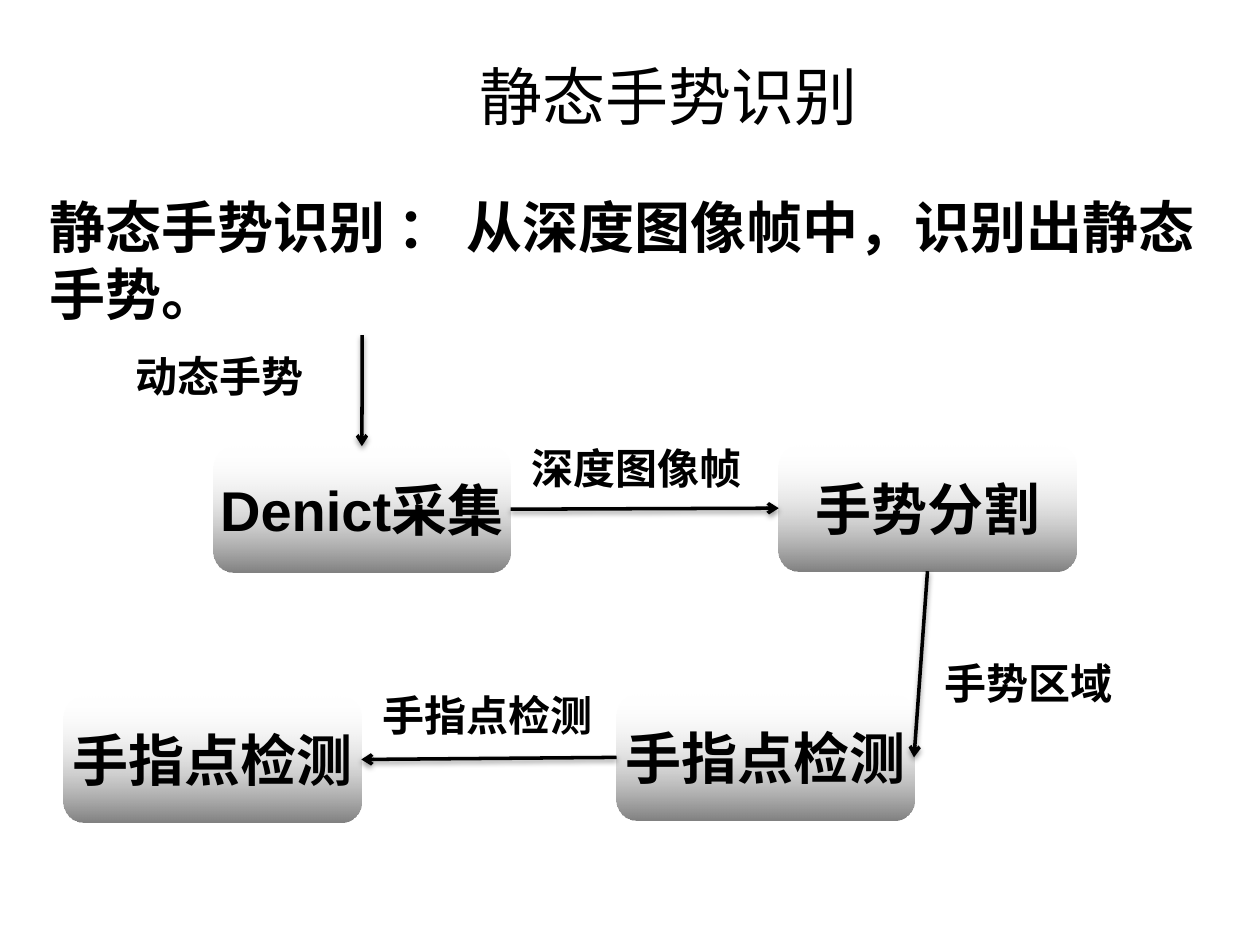
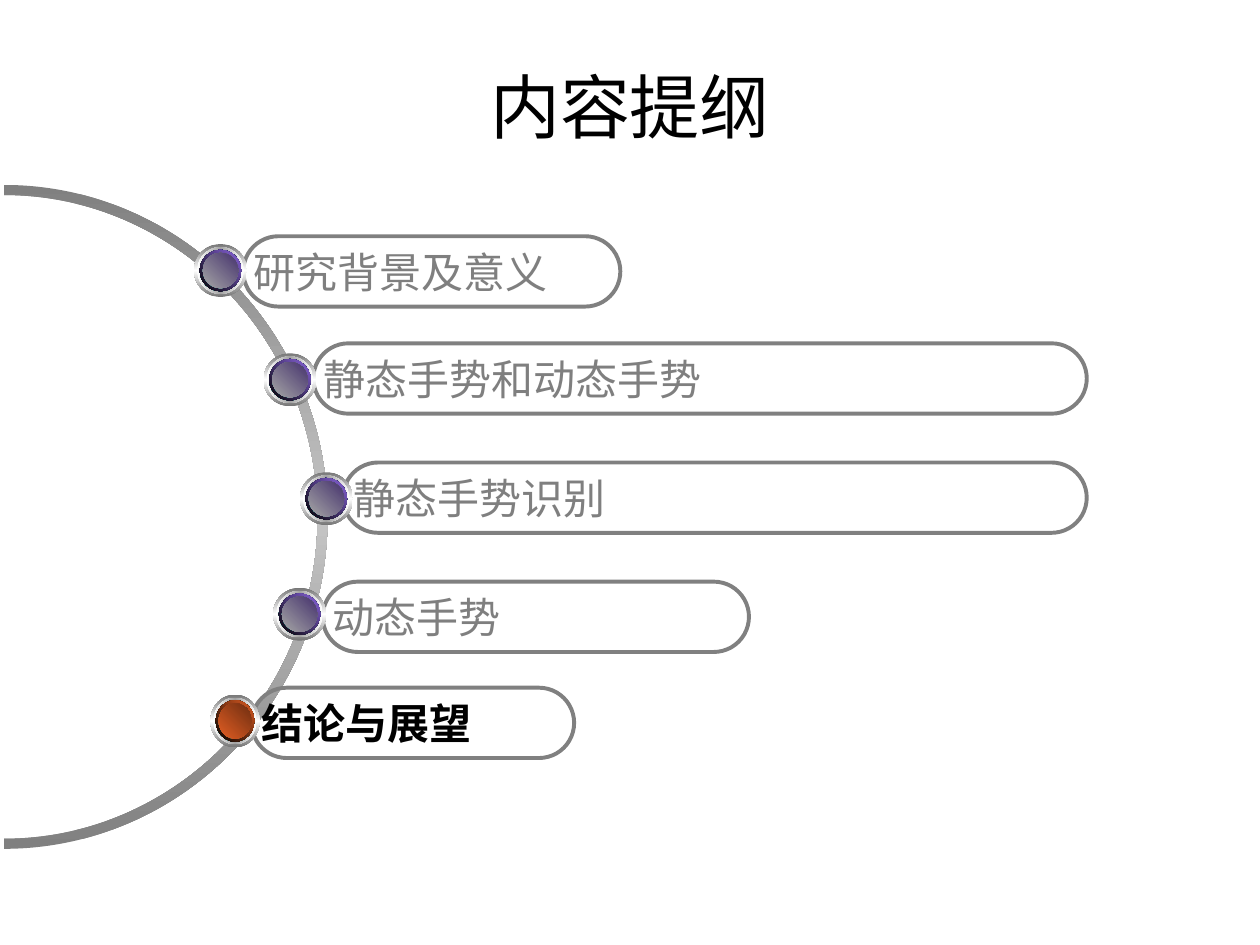
from lxml import etree
from pptx import Presentation
from pptx.dml.color import RGBColor
from pptx.enum.shapes import MSO_CONNECTOR, MSO_SHAPE
from pptx.enum.text import MSO_ANCHOR, MSO_AUTO_SIZE, PP_ALIGN
from pptx.oxml import parse_xml
from pptx.oxml.ns import nsdecls, qn
from pptx.util import Pt

LEFT, CENTER = PP_ALIGN.LEFT, PP_ALIGN.CENTER
TOP, MIDDLE = MSO_ANCHOR.TOP, MSO_ANCHOR.MIDDLE
NO_AUTOSIZE = MSO_AUTO_SIZE.NONE
ROUNDED, OVAL = MSO_SHAPE.ROUNDED_RECTANGLE, MSO_SHAPE.OVAL
STRAIGHT = MSO_CONNECTOR.STRAIGHT

BLACK = RGBColor(0x00, 0x00, 0x00)
WHITE = RGBColor(0xFF, 0xFF, 0xFF)
GRAY = RGBColor(0x80, 0x80, 0x80)
MUTED = RGBColor(0x7F, 0x7F, 0x7F)
ARC_LIGHT = RGBColor(0xC5, 0xC5, 0xC5)
RIM_DARK = RGBColor(0x76, 0x76, 0x76)
RIM_LIGHT = RGBColor(0xA2, 0xA2, 0xA2)
TEAL = RGBColor(0x00, 0x99, 0x99)
DEEP_TEAL = RGBColor(0x00, 0x53, 0x53)
SILVER = RGBColor(0xA6, 0xA6, 0xA6)
VIOLET = RGBColor(0x8D, 0x67, 0xE1)
DEEP_VIOLET = RGBColor(0x45, 0x32, 0x6D)
ORANGE = RGBColor(0xE3, 0x5E, 0x23)
BROWN = RGBColor(0x6E, 0x2E, 0x11)

LATIN_FONT = "Arial"
CJK_FONT = "Noto Sans CJK SC"
TITLE_LAYOUT = 5
SITE_TOP, SITE_LEFT, SITE_BOTTOM, SITE_RIGHT = range(4)

RECOGNITION_TITLE = "静态手势识别"
DEFINITION = ["静态手势识别 ： 从深度图像帧中，识别出静态", "手势。"]
STEP_SIZE = (170, 72)
STEPS = [
    ("Denict采集", 121.8, 255),
    ("手势分割", 445, 254.4),
    ("手指点检测", 352.3, 396.8),
    ("手指点检测", 36.5, 398),
]
FLOW_LABELS = [
    ("动态手势", 68, 197, 115),
    ("深度图像帧", 289.8, 249.6, 147.6),
    ("手势区域", 530, 372, 115),
    ("手指点检测", 206.5, 390.3, 144),
]
ENTRY_POINT = (207, 191.5)
FLOW_SITES = [
    (SITE_RIGHT, SITE_LEFT),
    (SITE_BOTTOM, SITE_RIGHT),
    (SITE_LEFT, SITE_RIGHT),
]

OUTLINE_TITLE = "内容提纲"
PILL_HEIGHT = 40.2
AGENDA = [
    {"text": "研究背景及意义", "pill": (139, 135, 215.5), "dot": (126, 154.6)},
    {"text": "静态手势和动态手势", "pill": (179, 196.2, 442), "dot": (165.7, 217)},
    {"text": "静态手势识别", "pill": (196, 264.3, 425), "dot": (186.5, 285)},
    {"text": "动态手势", "pill": (184.4, 332.4, 243.6), "dot": (171.2, 351)},
    {"text": "结论与展望", "pill": (143.8, 393, 184.3), "dot": (134.3, 412),
     "current": True},
]
ARC_CENTER = (2.4, 295.4)
ARC_OUTER = (184.8, 189.7)
ARC_INNER = (179.1, 183.9)
CIRCLE_RATIO = 0.55


def set_gradient(shape, colors, angle, first_alpha=100):
    stops = ""
    for index, color in enumerate(colors):
        position = round(100000 * index / (len(colors) - 1))
        alpha = 100 if index else first_alpha
        stops += (f'<a:gs pos="{position}"><a:srgbClr val="{color}">'
                  f'<a:alpha val="{alpha * 1000}"/></a:srgbClr></a:gs>')
    gradient = parse_xml(
        f'<a:gradFill {nsdecls("a")} rotWithShape="1"><a:gsLst>{stops}</a:gsLst>'
        f'<a:lin ang="{angle * 60000}" scaled="0"/></a:gradFill>')
    shape.fill.background()
    properties = shape._element.spPr
    properties.replace(properties.find(qn("a:noFill")), gradient)
    shape.line.fill.background()
    shape.shadow.inherit = False


def write_text(shape, lines, size, color=BLACK, bold=True, align=CENTER,
               anchor=MIDDLE, wrap=True, latin=LATIN_FONT):
    frame = shape.text_frame
    frame.auto_size = NO_AUTOSIZE
    frame.word_wrap = wrap
    frame.vertical_anchor = anchor
    for index, line in enumerate(lines):
        paragraph = frame.add_paragraph() if index else frame.paragraphs[0]
        paragraph.alignment = align
        run = paragraph.add_run()
        run.text = line
        font = run.font
        font.size, font.bold, font.name = Pt(size), bold, latin
        font.color.rgb = color
        east_asian = etree.SubElement(font._element, qn("a:ea"))
        east_asian.set("typeface", CJK_FONT)


def place(shape, left, top, width, height):
    shape.left, shape.top = Pt(left), Pt(top)
    shape.width, shape.height = Pt(width), Pt(height)


def add_titled_slide(presentation, title, left, top, size):
    slide = presentation.slides.add_slide(presentation.slide_layouts[TITLE_LAYOUT])
    place(slide.shapes.title, left, top, 648, 46)
    write_text(slide.shapes.title, [title], size, bold=False, latin=CJK_FONT)
    return slide


def add_label(slide, lines, left, top, width, height, size, align=CENTER):
    box = slide.shapes.add_textbox(Pt(left), Pt(top), Pt(width), Pt(height))
    write_text(box, lines, size, align=align, anchor=TOP)


def add_step(slide, text, left, top):
    width, height = STEP_SIZE
    step = slide.shapes.add_shape(ROUNDED, Pt(left), Pt(top), Pt(width), Pt(height))
    set_gradient(step, [WHITE, GRAY], 90, first_alpha=0)
    write_text(step, [text], 32, wrap=False)
    return step


def add_arrow(slide, start, target, target_site):
    x, y = start
    arrow = slide.shapes.add_connector(STRAIGHT, Pt(x), Pt(y), Pt(x), Pt(y))
    arrow.end_connect(target, target_site)
    arrow.line.color.rgb = BLACK
    arrow.line.width = Pt(2)
    properties = arrow._element.spPr
    etree.SubElement(properties.find(qn("a:ln")), qn("a:tailEnd"), type="arrow")
    properties.append(parse_xml(
        f'<a:effectLst {nsdecls("a")}><a:outerShdw blurRad="{Pt(3.1)}" '
        f'dist="{Pt(1.6)}" dir="5400000" rotWithShape="0"><a:srgbClr val="{BLACK}">'
        '<a:alpha val="38000"/></a:srgbClr></a:outerShdw></a:effectLst>'))
    return arrow


def add_recognition_slide(presentation):
    slide = add_titled_slide(presentation, RECOGNITION_TITLE, 58, 31.7, 36)
    add_label(slide, DEFINITION, 21, 106.5, 681, 85, 32, LEFT)
    steps = [add_step(slide, *step) for step in STEPS]
    add_arrow(slide, ENTRY_POINT, steps[0], SITE_TOP)
    for source, target, (exit_site, entry_site) in zip(steps, steps[1:], FLOW_SITES):
        arrow = add_arrow(slide, ENTRY_POINT, target, entry_site)
        arrow.begin_connect(source, exit_site)
    for text, left, top, width in FLOW_LABELS:
        add_label(slide, [text], left, top, width, 36, 24)


def half_ring(radii):
    x, y = ARC_CENTER
    across, down = radii
    return [(Pt(x), Pt(y - down)), (Pt(x + across), Pt(y)), (Pt(x), Pt(y + down))]


def bend_segment(segment, start):
    end_point = segment.find(qn("a:pt"))
    end = int(end_point.get("x")), int(end_point.get("y"))
    corner = max(start[0], end[0]), min(start, end)[1]
    segment.tag = qn("a:cubicBezTo")
    for index, anchor in enumerate((start, end)):
        x, y = (round(a + CIRCLE_RATIO * (c - a)) for a, c in zip(anchor, corner))
        control = etree.Element(qn("a:pt"), x=str(x), y=str(y))
        segment.insert(index, control)


def add_arc(slide):
    points = half_ring(ARC_OUTER) + half_ring(ARC_INNER)[::-1]
    builder = slide.shapes.build_freeform(*points[0])
    builder.add_line_segments(points[1:], close=True)
    arc = builder.convert_to_shape()
    segments = list(arc._element.iter(qn("a:lnTo")))
    left, top = points[0]
    for index in (0, 1, 3, 4):
        x, y = points[index]
        bend_segment(segments[index], (x - left, y - top))
    set_gradient(arc, [GRAY, ARC_LIGHT, GRAY], 90)


def add_pill(slide, text, left, top, width, current):
    pill = slide.shapes.add_shape(
        ROUNDED, Pt(left), Pt(top), Pt(width), Pt(PILL_HEIGHT))
    pill.adjustments[0] = 0.5
    pill.fill.background()
    pill.line.color.rgb = GRAY
    pill.line.width = Pt(2.25)
    pill.shadow.inherit = False
    pill.text_frame.margin_left = 0
    write_text(pill, [text], 24, BLACK if current else MUTED, current, LEFT)


def add_dot(slide, center_x, center_y, current):
    glow = ORANGE if current else VIOLET
    core = [ORANGE, BROWN] if current else [SILVER, DEEP_VIOLET]
    squeeze = 0.93 if current else 1
    layers = [
        (30.2, [RIM_DARK, WHITE, RIM_DARK], 90),
        (26.6, [WHITE, RIM_LIGHT, WHITE], 0),
        (23.7, [TEAL, WHITE, TEAL], 315),
        (23.7, [BLACK, glow], 315),
        (20.2, [TEAL, DEEP_TEAL, TEAL], 45),
        (20.2, core, 315),
    ]
    for height, colors, angle in layers:
        width = height * squeeze
        disc = slide.shapes.add_shape(
            OVAL, Pt(center_x - width / 2), Pt(center_y - height / 2),
            Pt(width), Pt(height))
        set_gradient(disc, colors, angle)


def add_outline_slide(presentation):
    slide = add_titled_slide(presentation, OUTLINE_TITLE, 36, 37.5, 40)
    add_arc(slide)
    for item in AGENDA:
        add_pill(slide, item["text"], *item["pill"], item.get("current", False))
    for item in AGENDA:
        add_dot(slide, *item["dot"], item.get("current", False))


def main():
    presentation = Presentation()
    presentation.slide_width, presentation.slide_height = Pt(720), Pt(540)
    add_recognition_slide(presentation)
    add_outline_slide(presentation)
    presentation.save("out.pptx")


if __name__ == "__main__":
    main()
